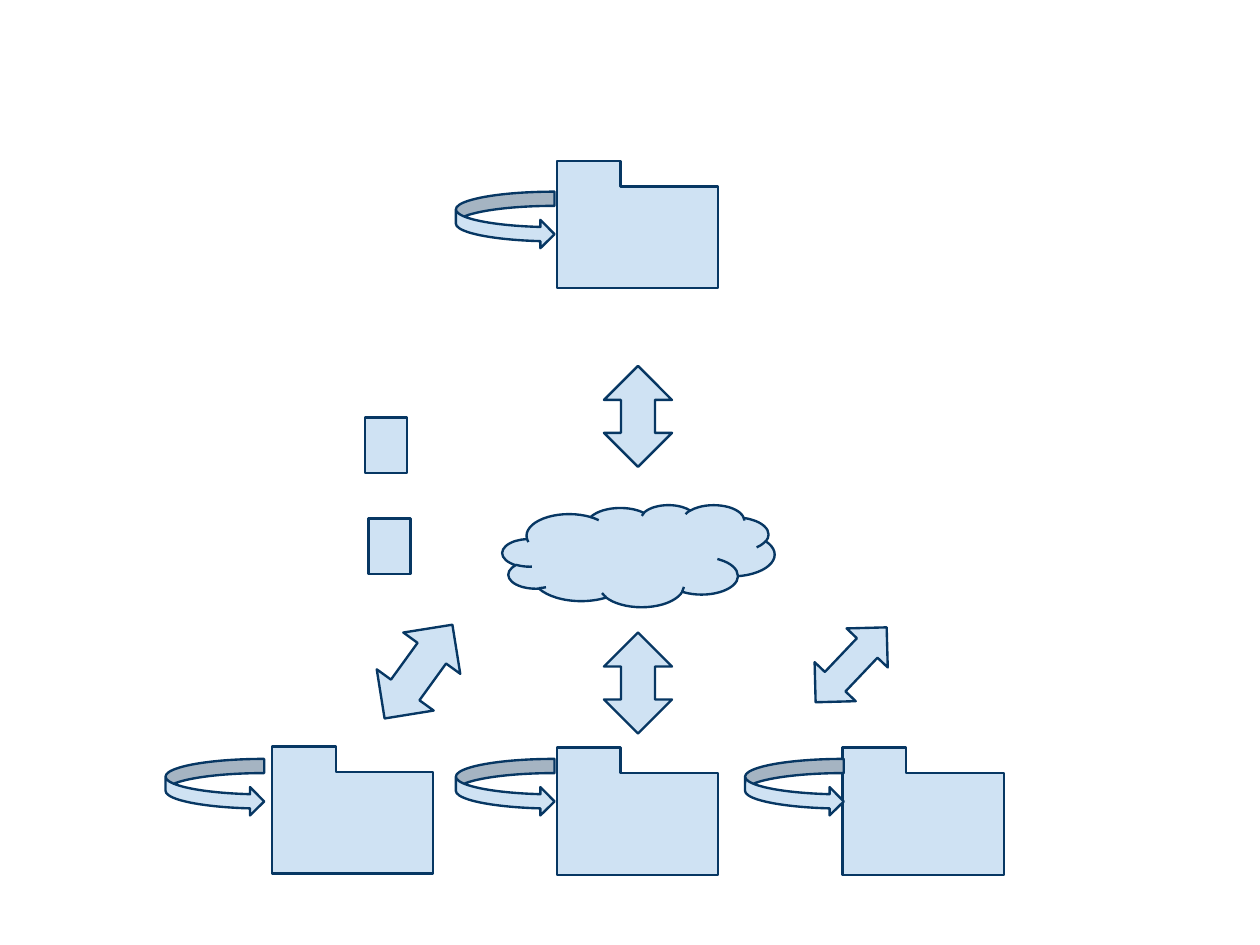
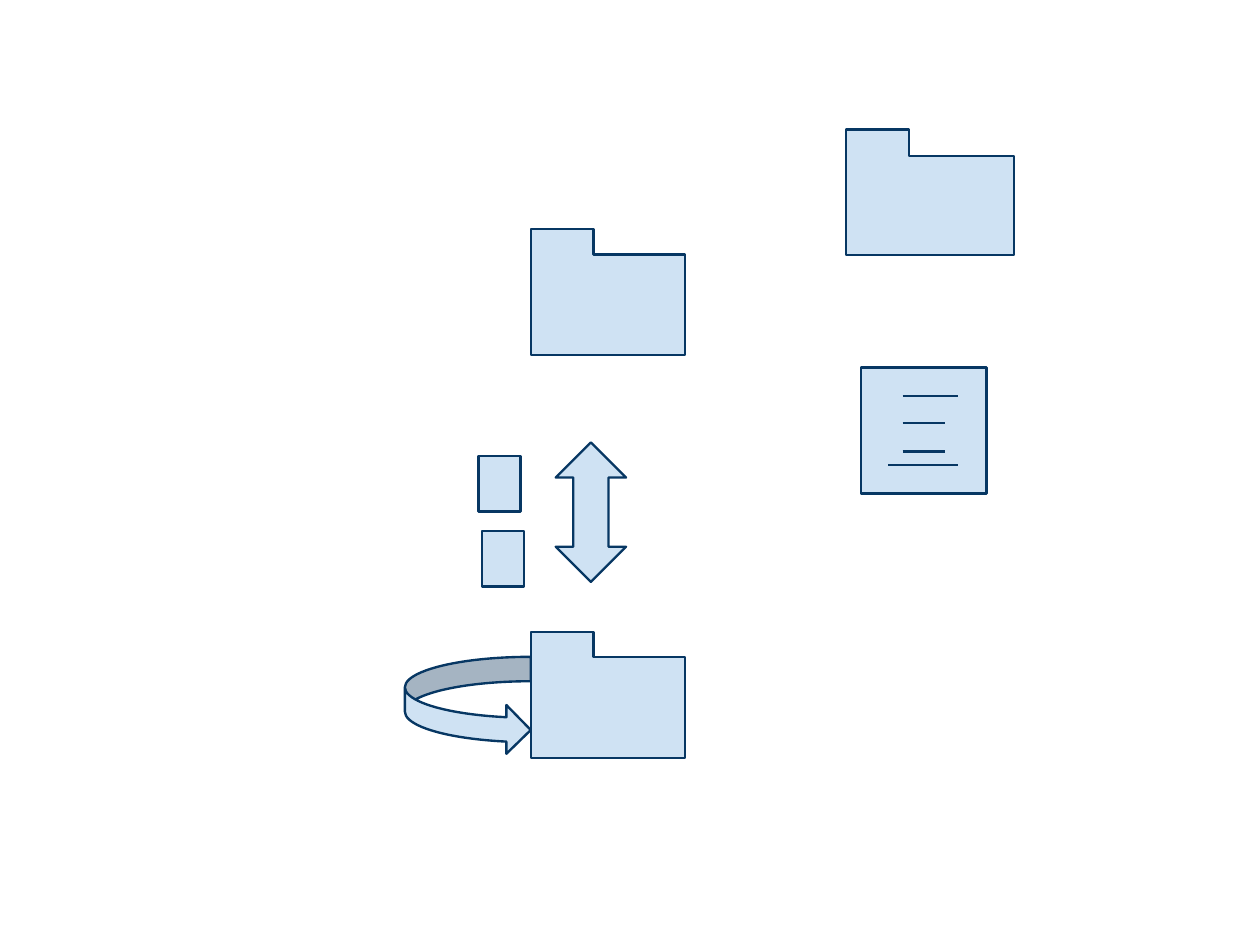
from lxml import etree
from pptx import Presentation
from pptx.dml.color import RGBColor
from pptx.enum.shapes import MSO_CONNECTOR, MSO_SHAPE
from pptx.oxml.ns import qn
from pptx.util import Emu, Pt

CLOUD = MSO_SHAPE.CLOUD
FOLDER = MSO_SHAPE.CORNER
RECTANGLE = MSO_SHAPE.RECTANGLE
DOUBLE_ARROW = MSO_SHAPE.LEFT_RIGHT_ARROW
VERTICAL_ARROW = MSO_SHAPE.UP_DOWN_ARROW
LOOP_ARROW = MSO_SHAPE.CURVED_RIGHT_ARROW
STRAIGHT = MSO_CONNECTOR.STRAIGHT

SCALE = 9144
SLIDE_WIDTH, SLIDE_HEIGHT = 1111, 833
BACKGROUND = "FFFFFF"
FILL = "CFE2F3"
OUTLINE = "073763"
LINE_WIDTH = Pt(1.5)


def px(length):
    return Emu(length * SCALE)


def color(value):
    return RGBColor.from_string(value)


def style_line(line):
    line.color.rgb = color(OUTLINE)
    line.width = LINE_WIDTH


def add_slide(presentation):
    slide = presentation.slides.add_slide(presentation.slide_layouts[6])
    slide.background.fill.solid()
    slide.background.fill.fore_color.rgb = color(BACKGROUND)
    return slide


def add_figure(slide, kind, left, top, width, height, rotation=0):
    shape = slide.shapes.add_shape(kind, px(left), px(top), px(width), px(height))
    shape.shadow.inherit = False
    shape.fill.solid()
    shape.fill.fore_color.rgb = color(FILL)
    style_line(shape.line)
    shape.rotation = rotation
    return shape


def add_folder(slide, left, top, width=142, height=112, body=0.8):
    folder = add_figure(slide, FOLDER, left, top, width, height)
    folder.adjustments[0] = body


def add_file(slide, left, top):
    add_figure(slide, RECTANGLE, left, top, 37, 49)


def add_rule(slide, left, right, top):
    rule = slide.shapes.add_connector(STRAIGHT, px(left), px(top), px(right), px(top))
    style_line(rule.line)
    etree.SubElement(rule._element.spPr, qn("a:effectLst"))


def build_network(presentation):
    slide = add_slide(presentation)
    add_figure(slide, CLOUD, 443, 445, 240, 90)
    for top in (337, 572):
        add_figure(slide, DOUBLE_ARROW, 518, top, 89, 60, 90)
    add_figure(slide, DOUBLE_ARROW, 705, 561, 91, 50, 133.5)
    add_figure(slide, DOUBLE_ARROW, 318, 561, 102, 62, 125.9)
    for left, top in ((491, 142), (240, 658), (491, 659), (743, 659)):
        add_folder(slide, left, top)
    for left, top in ((402, 169), (146, 669), (402, 669), (657, 669)):
        add_figure(slide, LOOP_ARROW, left, top, 87, 50)
    add_file(slide, 322, 368)
    add_file(slide, 325, 457)


def build_synchronization(presentation):
    slide = add_slide(presentation)
    for top in (202, 557):
        add_folder(slide, 468, top, 136, 111)
    add_folder(slide, 746, 114, 148, 111, 0.79)
    add_figure(slide, RECTANGLE, 759, 324, 111, 111)
    for left, right, top in ((796, 845, 349), (796, 833, 373), (796, 833, 398), (783, 845, 410)):
        add_rule(slide, left, right, top)
    add_figure(slide, VERTICAL_ARROW, 490, 390, 62, 123)
    add_figure(slide, LOOP_ARROW, 357, 579, 111, 86)
    add_file(slide, 425, 468)
    add_file(slide, 422, 402)


def main():
    presentation = Presentation()
    presentation.slide_width = px(SLIDE_WIDTH)
    presentation.slide_height = px(SLIDE_HEIGHT)
    build_network(presentation)
    build_synchronization(presentation)
    presentation.save("out.pptx")


if __name__ == "__main__":
    main()
